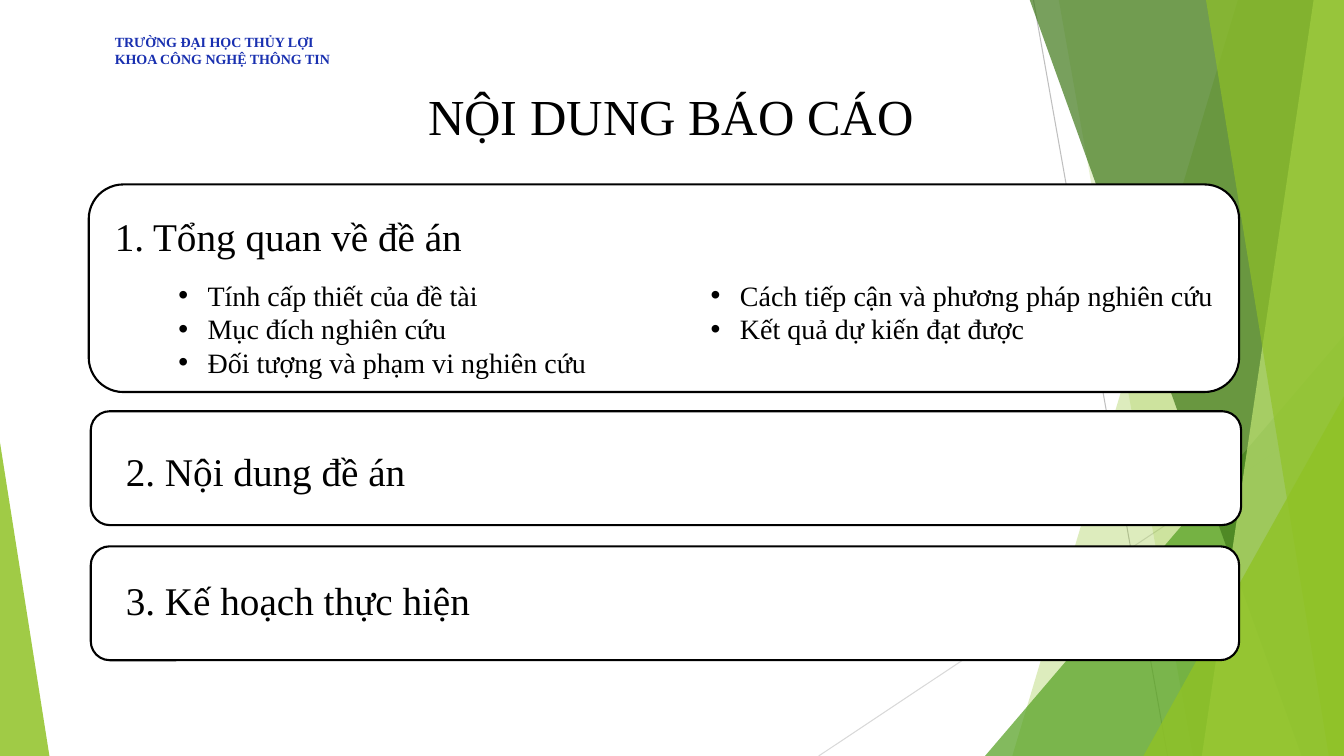
from dataclasses import dataclass

from lxml.etree import SubElement
from pptx import Presentation
from pptx.dml.color import RGBColor
from pptx.enum.shapes import MSO_CONNECTOR, MSO_SHAPE
from pptx.enum.text import MSO_ANCHOR, PP_ALIGN
from pptx.oxml.ns import qn
from pptx.util import Inches, Pt

WIDTH, HEIGHT = 13.33, 7.5
FONT = "Times New Roman"


@dataclass
class Ray:
    start: tuple[float, float]
    end: tuple[float, float]
    color: str


@dataclass
class Facet:
    top_x: float
    bottom_x: float
    color: str
    opacity: int


@dataclass
class Wedge:
    left: float
    top: float
    width: float
    apex: int
    color: str
    opacity: int


@dataclass
class Panel:
    left: float
    top: float
    width: float
    height: float


@dataclass
class Caption:
    left: float
    top: float
    width: float
    height: float
    lines: list[str]
    size: int
    color: str = "000000"
    bold: bool = False
    align: PP_ALIGN = PP_ALIGN.LEFT
    marker: tuple[str, str, str] | None = None
    indent: float = 0


RAYS = [
    Ray((10.25, 0), (11.58, HEIGHT), "BFBFBF"),
    Ray((WIDTH, 4.03), (8.12, HEIGHT), "D9D9D9"),
]
BACKDROP = [
    Facet(12.28, 10.04, "90C226", 30),
    Facet(10.5, 11.83, "90C226", 20),
    Wedge(9.77, 3.33, 3.56, 1, "54A021", 72),
    Facet(10.21, 12.91, "3F7819", 70),
    Facet(13.03, 11.92, "C0E474", 70),
    Facet(11.96, 13.18, "90C226", 65),
    Wedge(11.34, 3.93, 1.99, 1, "90C226", 80),
    Wedge(0, 4.39, 0.49, 0, "90C226", 85),
]
PANELS = [
    Panel(0.88, 1.83, 11.41, 2.06),
    Panel(0.9, 4.08, 11.41, 1.13),
    Panel(0.9, 5.42, 11.39, 1.13),
]
NUMBER = ("a:buAutoNum", "type", "arabicPeriod")
BULLET = ("a:buChar", "char", "•")
CAPTIONS = [
    Caption(0.74, 0.8, 11.83, 1.06, ["NỘI DUNG BÁO CÁO"], 36, align=PP_ALIGN.CENTER),
    Caption(1.04, 0.28, 2.55, 0.61,
            ["TRƯỜNG ĐẠI HỌC THỦY LỢI", "KHOA CÔNG NGHỆ THÔNG TIN"],
            10, "1930B0", bold=True),
    Caption(1.04, 2.06, 11.18, 0.57, ["Tổng quan về đề án"], 28,
            marker=NUMBER, indent=0.38),
    Caption(1.15, 4.39, 11.07, 0.57, ["2. Nội dung đề án"], 28),
    Caption(1.15, 5.67, 11.07, 0.57, ["3. Kế hoạch thực hiện"], 28),
    Caption(1.47, 2.71, 5.28, 1.12,
            ["Tính cấp thiết của đề tài", "Mục đích nghiên cứu",
             "Đối tượng và phạm vi nghiên cứu"],
            20, marker=BULLET, indent=0.49),
    Caption(6.75, 2.71, 5.48, 1.12,
            ["Cách tiếp cận và phương pháp nghiên cứu", "Kết quả dự kiến đạt được"],
            20, marker=BULLET, indent=0.49),
]


def rgb(color: str) -> RGBColor:
    return RGBColor.from_string(color)


def draw_ray(slide, ray: Ray) -> None:
    points = [Inches(value) for value in (*ray.start, *ray.end)]
    connector = slide.shapes.add_connector(MSO_CONNECTOR.STRAIGHT, *points)
    connector.line.color.rgb = rgb(ray.color)
    connector.line.width = Pt(0.75)
    SubElement(connector._element.spPr, qn("a:effectLst"))


def draw_backdrop(slide, part: Facet | Wedge) -> None:
    if isinstance(part, Facet):
        outline = slide.shapes.build_freeform(
            Inches(part.top_x), Inches(-0.01), scale=1.0)
        corners = [(WIDTH, -0.01), (WIDTH, HEIGHT), (part.bottom_x, HEIGHT)]
        outline.add_line_segments([(Inches(x), Inches(y)) for x, y in corners])
        shape = outline.convert_to_shape()
    else:
        shape = slide.shapes.add_shape(
            MSO_SHAPE.ISOSCELES_TRIANGLE, Inches(part.left), Inches(part.top),
            Inches(part.width), Inches(HEIGHT - part.top))
        shape.adjustments[0] = part.apex
    shape.shadow.inherit = False
    shape.line.fill.background()
    shape.fill.solid()
    shape.fill.fore_color.rgb = rgb(part.color)
    tint = shape._element.spPr.find(qn("a:solidFill"))[0]
    SubElement(tint, qn("a:alpha"), val=str(part.opacity * 1000))


def draw_panel(slide, panel: Panel) -> None:
    shape = slide.shapes.add_shape(
        MSO_SHAPE.ROUNDED_RECTANGLE, Inches(panel.left), Inches(panel.top),
        Inches(panel.width), Inches(panel.height))
    shape.shadow.inherit = False
    shape.fill.solid()
    shape.fill.fore_color.rgb = rgb("FFFFFF")
    shape.line.color.rgb = rgb("000000")
    shape.line.width = Pt(1.5)


def draw_caption(slide, caption: Caption) -> None:
    frame = slide.shapes.add_textbox(
        Inches(caption.left), Inches(caption.top),
        Inches(caption.width), Inches(caption.height)).text_frame
    frame.word_wrap = True
    frame.vertical_anchor = MSO_ANCHOR.TOP
    frame.text = "\n".join(caption.lines)
    for paragraph in frame.paragraphs:
        paragraph.alignment = caption.align
        if caption.marker:
            tag, attribute, value = caption.marker
            hanging = 0.29 if caption.marker == BULLET else caption.indent
            properties = paragraph._p.get_or_add_pPr()
            properties.set("marL", str(Inches(caption.indent)))
            properties.set("indent", str(-Inches(hanging)))
            if caption.marker == BULLET:
                SubElement(properties, qn("a:buFont"), typeface="Arial")
            SubElement(properties, qn(tag)).set(attribute, value)
        for run in paragraph.runs:
            run.font.name = FONT
            run.font.size = Pt(caption.size)
            run.font.bold = caption.bold
            run.font.color.rgb = rgb(caption.color)


def main() -> None:
    presentation = Presentation()
    presentation.slide_width = Inches(WIDTH)
    presentation.slide_height = Inches(HEIGHT)
    slide = presentation.slides.add_slide(presentation.slide_layouts[6])
    for ray in RAYS:
        draw_ray(slide, ray)
    for part in BACKDROP:
        draw_backdrop(slide, part)
    for panel in PANELS:
        draw_panel(slide, panel)
    for caption in CAPTIONS:
        draw_caption(slide, caption)
    presentation.save("out.pptx")


if __name__ == "__main__":
    main()
